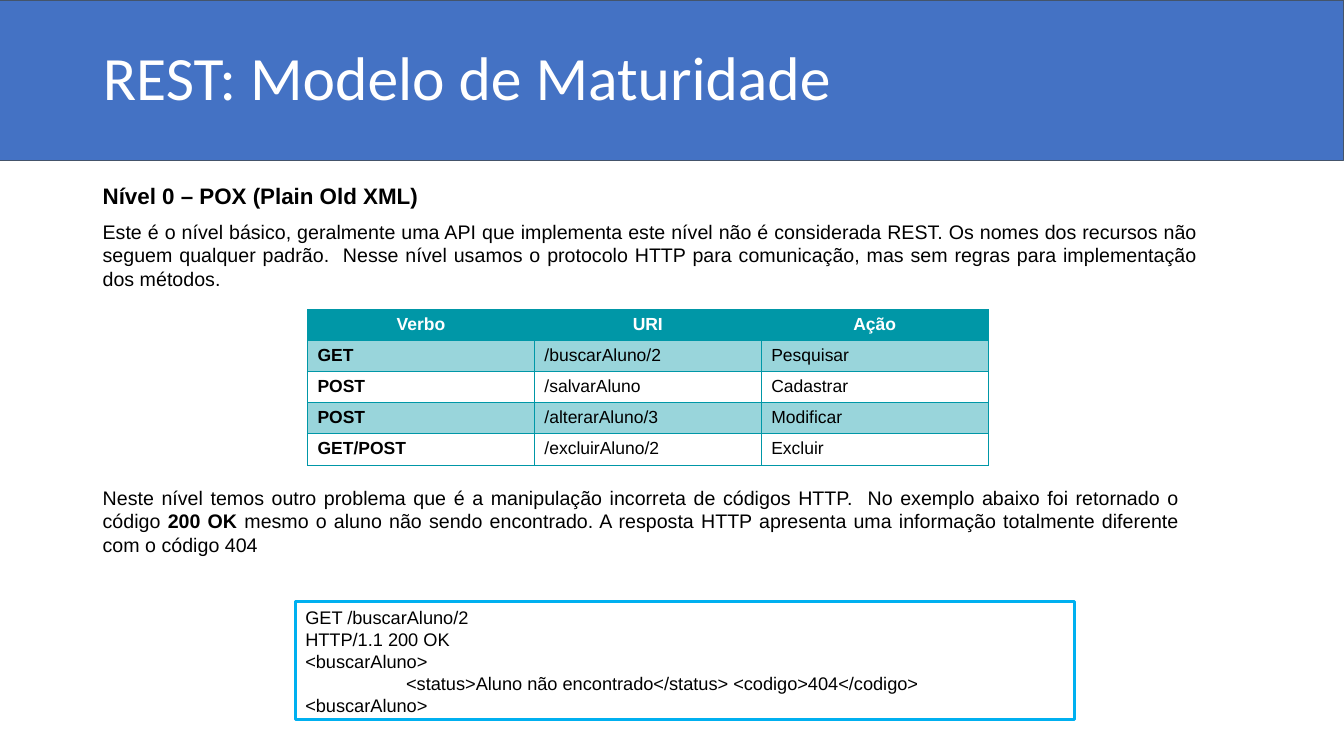
"""Build the slide on level 0 of the REST maturity model."""
import pptx
import pptx.dml.color
import pptx.enum.shapes
import pptx.enum.text
import pptx.oxml
import pptx.oxml.ns
import pptx.util
from pptx.util import Inches

RGBColor = pptx.dml.color.RGBColor
PP_ALIGN = pptx.enum.text.PP_ALIGN
RECTANGLE = pptx.enum.shapes.MSO_SHAPE.RECTANGLE
qn = pptx.oxml.ns.qn

BLACK = RGBColor(0x00, 0x00, 0x00)
WHITE = RGBColor(0xFF, 0xFF, 0xFF)
BLUE = RGBColor(0x44, 0x72, 0xC4)
SLATE = RGBColor(0x44, 0x54, 0x6A)
SKY = RGBColor(0x00, 0xB0, 0xF0)
TEAL = RGBColor(0x00, 0x97, 0xA7)


def format_text(text_frame, size, color=BLACK, bold=False, align=PP_ALIGN.LEFT, font="Arial"):
    for paragraph in text_frame.paragraphs:
        paragraph.alignment = align
        for run in paragraph.runs:
            run.font.name = font
            run.font.size = pptx.util.Pt(size)
            run.font.bold = bold
            run.font.color.rgb = color


def add_rectangle(left, top, width, height, fill, line, weight):
    shape = slide.shapes.add_shape(
        RECTANGLE, Inches(left), Inches(top), Inches(width), Inches(height))
    shape.shadow.inherit = False
    shape.fill.solid()
    shape.fill.fore_color.rgb = fill
    shape.line.color.rgb = line
    shape.line.width = pptx.util.Pt(weight)
    return shape


presentation = pptx.Presentation()
presentation.slide_width = Inches(13.33)
presentation.slide_height = Inches(7.5)
slide = presentation.slides.add_slide(presentation.slide_layouts[5])

title = slide.shapes.title
title.left, title.top = Inches(0.92), Inches(0.07)
title.width, title.height = Inches(11.5), Inches(1.45)
title.text_frame.text = "REST: Modelo de Maturidade"
title.text_frame.vertical_anchor = pptx.enum.text.MSO_ANCHOR.MIDDLE
title.text_frame.paragraphs[0].line_spacing = 0.9
format_text(title.text_frame, 44, WHITE, font="Calibri")

band = add_rectangle(0, 0, 13.33, 1.59, BLUE, SLATE, 0.75)
title.element.addprevious(band.element)

texts = [
    (2.13, 11.06, 0.81, 14, False, PP_ALIGN.JUSTIFY, [
        "Este é o nível básico, geralmente uma API que implementa este nível não é "
        "considerada REST. Os nomes dos recursos não seguem qualquer padrão.  Nesse nível "
        "usamos o protocolo HTTP para comunicação, mas sem regras para implementação dos métodos."]),
    (1.76, 3.39, 0.38, 16, True, PP_ALIGN.LEFT, ["Nível 0 – POX (Plain Old XML)"]),
    (4.77, 10.88, 0.81, 14, False, PP_ALIGN.JUSTIFY, [
        "Neste nível temos outro problema que é a manipulação incorreta de códigos HTTP.  "
        "No exemplo abaixo foi retornado o código ",
        "200 OK",
        " mesmo o aluno não sendo encontrado. A resposta HTTP apresenta uma informação "
        "totalmente diferente com o código 404"]),
]
for top, width, height, size, bold, align, parts in texts:
    box = slide.shapes.add_textbox(Inches(0.92), Inches(top), Inches(width), Inches(height))
    box.text_frame.word_wrap = True
    paragraph = box.text_frame.paragraphs[0]
    for part in parts:
        paragraph.add_run().text = part
    format_text(box.text_frame, size, bold=bold, align=align)
    for run in paragraph.runs[1:2]:
        run.font.bold = True

rows = [
    ("Verbo", "URI", "Ação"),
    ("GET", "/buscarAluno/2", "Pesquisar"),
    ("POST", "/salvarAluno", "Cadastrar"),
    ("POST", "/alterarAluno/3", "Modificar"),
    ("GET/POST", "/excluirAluno/2", "Excluir"),
]
table = slide.shapes.add_table(
    len(rows), 3, Inches(3.05), Inches(3.07), Inches(6.75), Inches(0.29 * len(rows))).table
table.horz_banding = False
for row_index, row in enumerate(rows):
    for column_index, text in enumerate(row):
        header = row_index == 0
        cell = table.cell(row_index, column_index)
        cell.text_frame.text = text
        format_text(cell.text_frame, 12.5, WHITE if header else BLACK,
                    header or column_index == 0, PP_ALIGN.CENTER if header else PP_ALIGN.LEFT)
        properties = cell._tc.get_or_add_tcPr()
        for side in ("lnL", "lnR", "lnT", "lnB"):
            properties.append(pptx.oxml.parse_xml(
                f'<a:{side} {pptx.oxml.ns.nsdecls("a")} w="9525"><a:solidFill>'
                f'<a:srgbClr val="{TEAL}"/></a:solidFill></a:{side}>'))
        if header or row_index % 2:
            cell.fill.solid()
            cell.fill.fore_color.rgb = TEAL
        else:
            cell.fill.background()
        if row_index % 2:
            color = properties.find(qn("a:solidFill")).find(qn("a:srgbClr"))
            color.append(pptx.oxml.parse_xml(
                f'<a:alpha {pptx.oxml.ns.nsdecls("a")} val="40000"/>'))

response = add_rectangle(2.93, 5.97, 7.73, 1.17, WHITE, SKY, 2)
response.text_frame.word_wrap = True
response.text_frame.vertical_anchor = pptx.enum.text.MSO_ANCHOR.TOP
response.text_frame.text = "\n".join([
    "GET /buscarAluno/2",
    "HTTP/1.1 200 OK",
    "<buscarAluno>",
    "\t<status>Aluno não encontrado</status> <codigo>404</codigo>",
    "<buscarAluno>",
])
format_text(response.text_frame, 13)
status_line = response.text_frame.paragraphs[3]
status_line._p.get_or_add_pPr().append(pptx.oxml.parse_xml(
    f'<a:tabLst {pptx.oxml.ns.nsdecls("a")}><a:tab pos="{Inches(1)}" algn="l"/></a:tabLst>'))

presentation.save("out.pptx")
